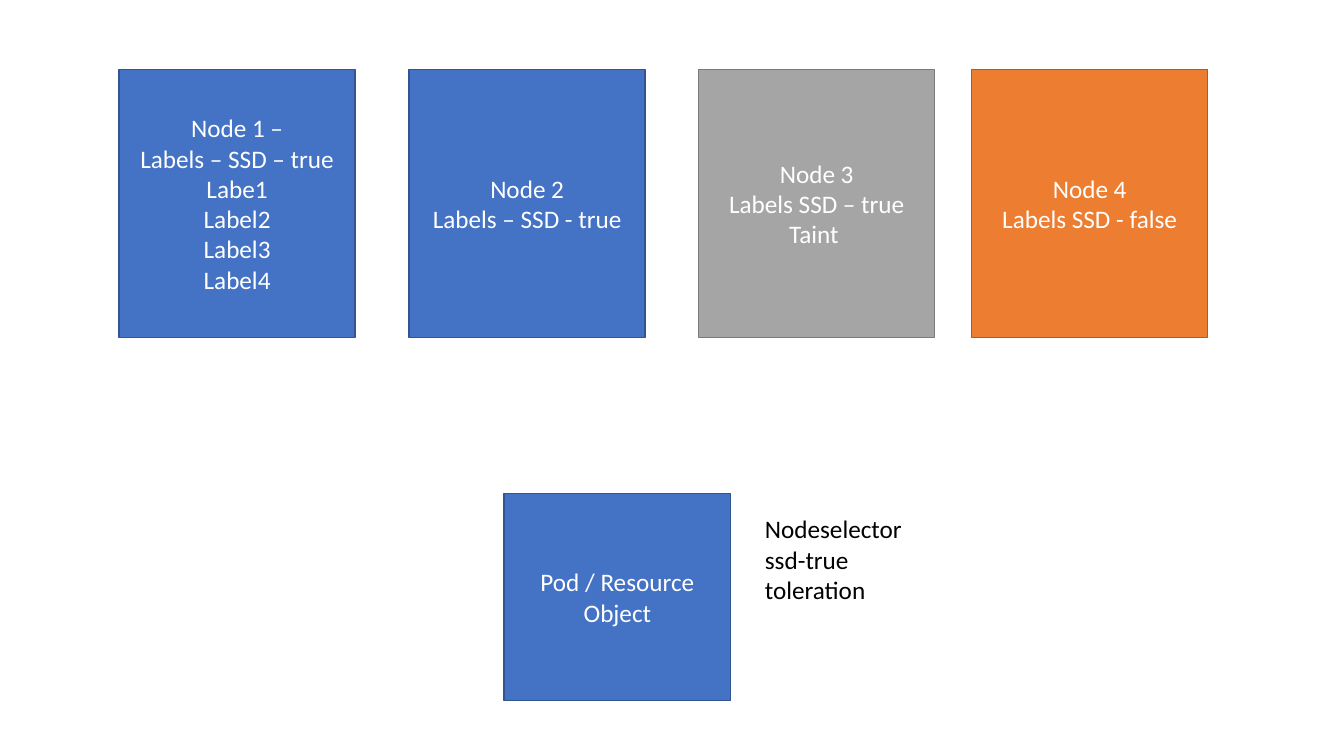
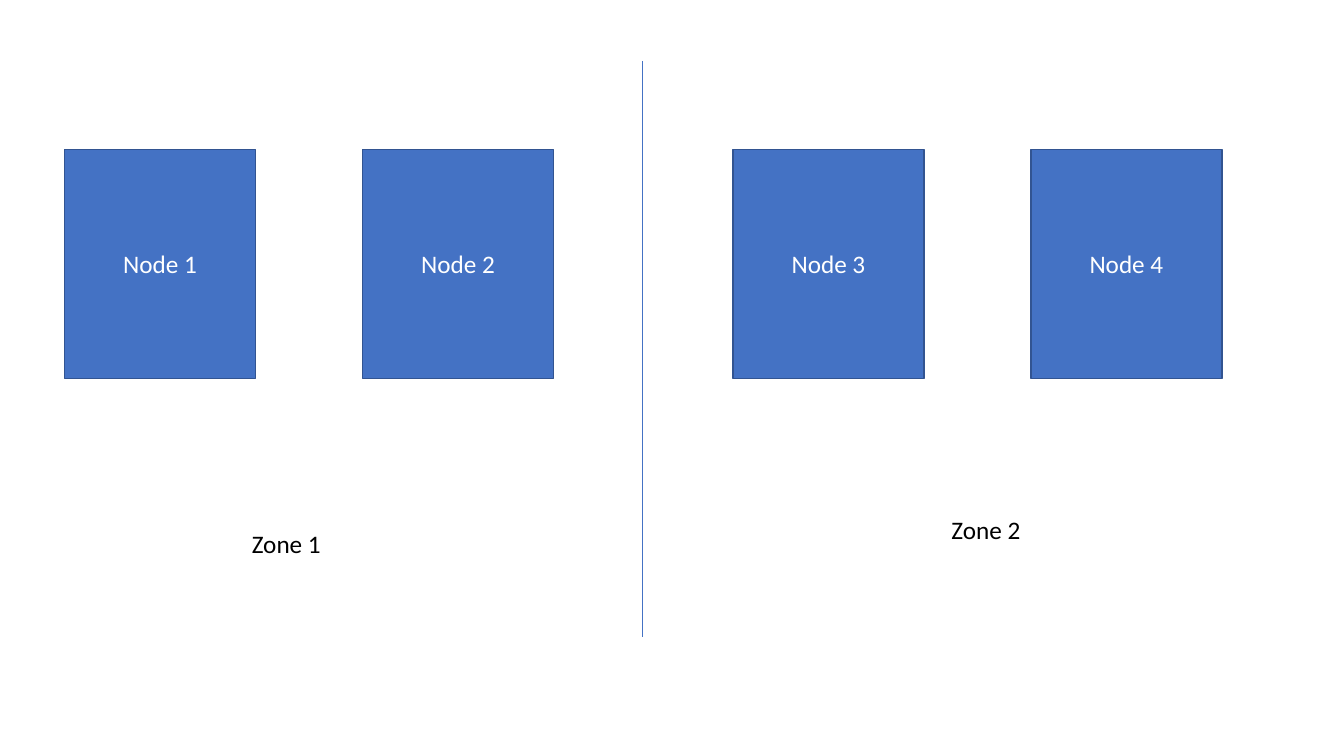
from lxml import etree
from pptx import Presentation
from pptx.dml.color import RGBColor
from pptx.enum.shapes import MSO_CONNECTOR, MSO_SHAPE
from pptx.enum.text import MSO_ANCHOR, MSO_AUTO_SIZE, PP_ALIGN
from pptx.oxml.ns import qn
from pptx.util import Pt

RECT = MSO_SHAPE.RECTANGLE
STRAIGHT = MSO_CONNECTOR.STRAIGHT
MIDDLE, TOP = MSO_ANCHOR.MIDDLE, MSO_ANCHOR.TOP
CENTER, LEFT = PP_ALIGN.CENTER, PP_ALIGN.LEFT
GROW = MSO_AUTO_SIZE.SHAPE_TO_FIT_TEXT

FONT, SIZE = "Calibri", 18
COLORS = {
    "blue": "4472C4", "blue edge": "325491",
    "gray": "A5A5A5", "gray edge": "7A7A7A",
    "orange": "ED7D31", "orange edge": "AF5C24",
    "white": "FFFFFF", "black": "000000",
}
NODES = [
    (85, "blue", ["Node 1 –", "Labels – SSD – true", "Labe1", "Label2",
                  "Label3", "Label4"]),
    (292.2, "blue", ["Node 2", "Labels – SSD - true"]),
    (499, "gray", ["Node 3", "Labels SSD – true", "Taint "]),
    (694, "orange", ["Node 4", "Labels SSD - false"]),
]
ZONES = [
    (46.2, "Zone 1", ["Node 1", "Node 2"], (126.6, 267.1)),
    (523.6, "Zone 2", ["Node 3", "Node 4"], (148.9, 257)),
]


def color(name):
    """Return the named colour."""
    return RGBColor.from_string(COLORS[name])


def write(frame, lines, ink, align, anchor):
    """Fill a text frame, one paragraph for each line."""
    frame.word_wrap = True
    frame.vertical_anchor = anchor
    for i, line in enumerate(lines):
        para = frame.add_paragraph() if i else frame.paragraphs[0]
        para.alignment = align
        run = para.add_run()
        run.text = line
        run.font.name = FONT
        run.font.size = Pt(SIZE)
        run.font.color.rgb = color(ink)


def block(slide, box, lines, tone="blue"):
    """Draw a filled rectangle with centred text."""
    shape = slide.shapes.add_shape(RECT, *map(Pt, box))
    shape.shadow.inherit = False
    shape.fill.solid()
    shape.fill.fore_color.rgb = color(tone)
    shape.line.color.rgb = color(tone + " edge")
    shape.line.width = Pt(1)
    write(shape.text_frame, lines, "white", CENTER, MIDDLE)


def label(slide, box, lines):
    """Place plain black text."""
    frame = slide.shapes.add_textbox(*map(Pt, box)).text_frame
    write(frame, lines, "black", LEFT, TOP)
    frame.auto_size = GROW


def divide(slide, x, top, end):
    """Draw the thin upright line between zones."""
    line = slide.shapes.add_connector(STRAIGHT, *map(Pt, (x, top, x, end)))
    line.line.color.rgb = color("blue")
    line.line.width = Pt(0.5)
    etree.SubElement(line._element.spPr, qn("a:effectLst"))


def pod(slide, x, y):
    """Place the pod and its scheduling rules."""
    block(slide, (x, y, 162, 147.6), ["Pod / Resource Object"])
    label(slide, (x + 179.3, y + 10.8, 177.1, 72.7),
          ["Nodeselector", "ssd-true", "toleration"])


def zone(slide, x, y, name, nodes, shift):
    """Place the nodes of a zone and its name."""
    for i, node in enumerate(nodes):
        block(slide, (x + i * 212.8, y, 136.4, 163.6), [node])
    label(slide, (x + shift[0], y + shift[1], 194.4, 28.8), [name])


def select(slide):
    """Build the slide on node labels."""
    for x, tone, lines in NODES:
        block(slide, (x, 49.7, 168.7, 191.2), lines, tone)
    pod(slide, 360, 352.6)


def spread(slide):
    """Build the slide on zones."""
    divide(slide, 459.2, 43.4, 455)
    for x, name, nodes, shift in ZONES:
        zone(slide, x, 106.6, name, nodes, shift)


def main():
    """Build and save the deck."""
    deck = Presentation()
    deck.slide_width, deck.slide_height = Pt(960), Pt(540)
    for build in (select, spread):
        build(deck.slides.add_slide(deck.slide_layouts[6]))
    deck.save("out.pptx")


if __name__ == "__main__":
    main()
